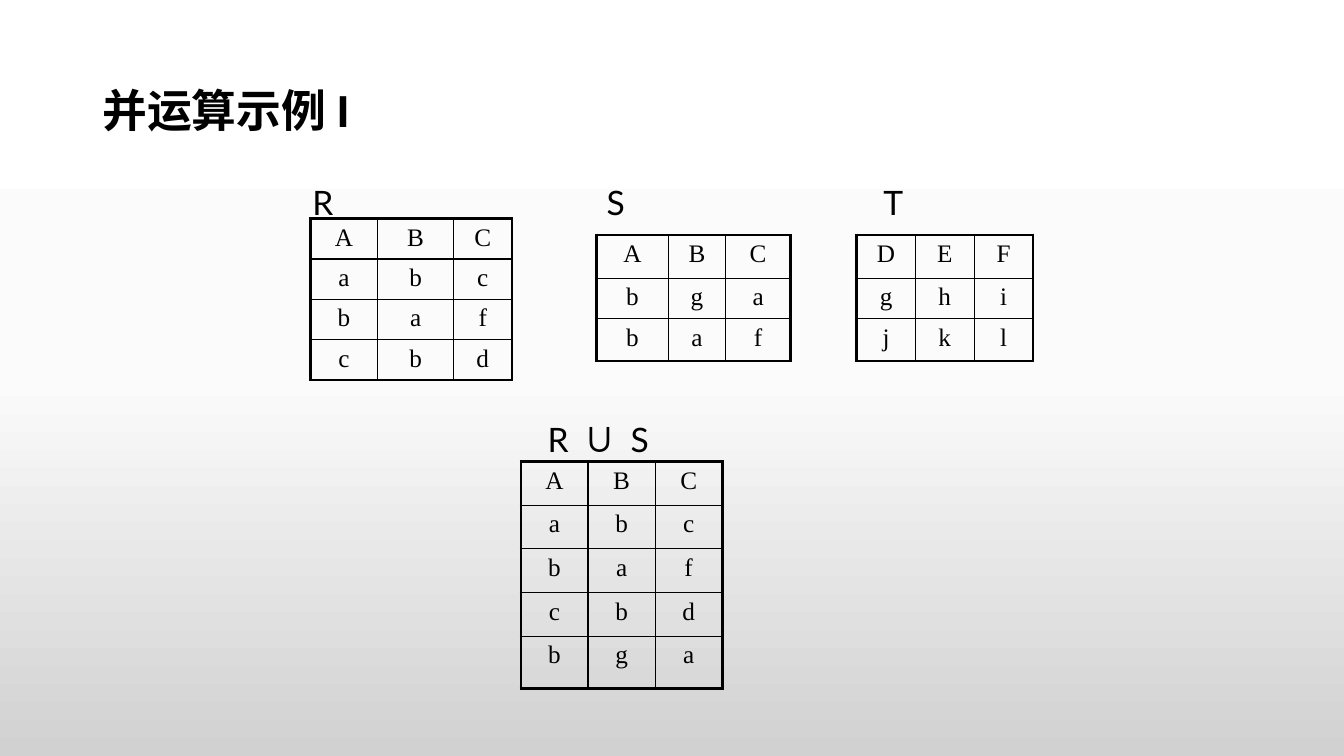
from copy import deepcopy

from lxml import etree
from pptx import Presentation
from pptx.dml.color import RGBColor
from pptx.enum.text import MSO_ANCHOR, MSO_AUTO_SIZE, PP_ALIGN
from pptx.oxml.ns import qn
from pptx.util import Cm, Pt

MIDDLE = MSO_ANCHOR.MIDDLE
TOP = MSO_ANCHOR.TOP
GROW = MSO_AUTO_SIZE.SHAPE_TO_FIT_TEXT
CENTER = PP_ALIGN.CENTER

BLACK = "000000"
BACKGROUND = ["FFFFFF", "FBFBFB", "D1D1D1"]
OUTER, INNER = 2.25, 1

LABELS = [
    (7.62, 4.45, 2.54, 1.27, [("R", 24, "Lato")]),
    (15.04, 4.45, 2.54, 1.27, [("S", 24, "Lato")]),
    (22.01, 4.45, 2.12, 1.27, [("T", 24, "Lato")]),
    (13.55, 10.16, 4.23, 1.6,
     [("R ", 24, "Lato"), ("∪", 32, "Times New Roman"), (" S", 24, "Lato")]),
]

RELATIONS = [
    (7.82, 5.51, [1.7, 1.91, 1.47], [0.96] * 4, ["ABC", "abc", "baf", "cbd"]),
    (15.04, 5.92, [1.8, 1.45, 1.63], [1.09, 1.02, 1.07], ["ABC", "bga", "baf"]),
    (21.59, 5.92, [1.48] * 3, [1.09, 1.02, 1.07], ["DEF", "ghi", "jkl"]),
    (13.13, 11.63, [1.69] * 3, [1.1] * 4 + [1.32],
     ["ABC", "abc", "baf", "cbd", "bga"]),
]


def color(value):
    """Turn a hex string into a colour."""
    return RGBColor.from_string(value)


def set_font(font, size, name, bold=False):
    """Set size, typeface, weight and colour of a font."""
    font.size = Pt(size)
    font.name = name
    font.bold = bold
    font.color.rgb = color(BLACK)


def paint_background(page):
    """Fill the page with an even vertical three-stop gradient."""
    fill = page.background.fill
    fill.gradient()
    fill.gradient_angle = 270
    stop_list = page.element.find(".//" + qn("a:gsLst"))
    stop_list.insert(1, deepcopy(stop_list[0]))
    for index, (stop, value) in enumerate(zip(fill.gradient_stops, BACKGROUND)):
        stop.position = index / (len(BACKGROUND) - 1)
        stop.color.rgb = color(value)


def add_text(page, left, top, width, height, spans, bold=False, anchor=TOP):
    """Add a one-paragraph text box made of (text, size, font) spans."""
    box = page.shapes.add_textbox(Cm(left), Cm(top), Cm(width), Cm(height))
    frame = box.text_frame
    frame.word_wrap = True
    frame.vertical_anchor = anchor
    para = frame.paragraphs[0]
    for text, size, name in spans:
        span = para.add_run()
        span.text = text
        if len(spans) > 1:
            set_font(span.font, size, name, bold)
    if len(spans) == 1:
        set_font(para.font, size, name, bold)
    return box


def set_borders(cell, widths):
    """Draw the left, right, top and bottom borders of a cell."""
    properties = cell._tc.get_or_add_tcPr()
    for side, width in zip("LRTB", widths):
        line = etree.SubElement(properties, qn("a:ln" + side), w=str(Pt(width)))
        solid = etree.SubElement(line, qn("a:solidFill"))
        etree.SubElement(solid, qn("a:srgbClr"), val=BLACK)


def add_relation(page, left, top, widths, heights, rows):
    """Add a relation table with a thick frame and thin inner rules."""
    last_row, last_column = len(heights) - 1, len(widths) - 1
    table = page.shapes.add_table(
        len(heights), len(widths), Cm(left), Cm(top),
        Cm(sum(widths)), Cm(sum(heights))).table
    table.first_row = False
    table.horz_banding = False
    for column, width in zip(table.columns, widths):
        column.width = Cm(width)
    for i, (height, values) in enumerate(zip(heights, rows)):
        table.rows[i].height = Cm(height)
        for j, value in enumerate(values):
            cell = table.cell(i, j)
            cell.text = value
            para = cell.text_frame.paragraphs[0]
            para.alignment = CENTER
            set_font(para.font, 18, "Times New Roman")
            edges = (j == 0, j == last_column, i == 0, i == last_row)
            set_borders(cell, [OUTER if edge else INNER for edge in edges])
            cell.fill.background()


def main():
    """Build the slide and save it."""
    deck = Presentation()
    deck.slide_width, deck.slide_height = Cm(33.87), Cm(19.05)
    page = deck.slides.add_slide(deck.slide_layouts[6])
    paint_background(page)
    title = add_text(page, 2.33, 1.01, 29.21, 3.68,
                     [("并运算示例 I", 32, "Arial")], bold=True, anchor=MIDDLE)
    title.text_frame.paragraphs[0].line_spacing = 0.9
    for relation in RELATIONS:
        add_relation(page, *relation)
    for label in LABELS:
        add_text(page, *label).text_frame.auto_size = GROW
    deck.save("out.pptx")


if __name__ == "__main__":
    main()
